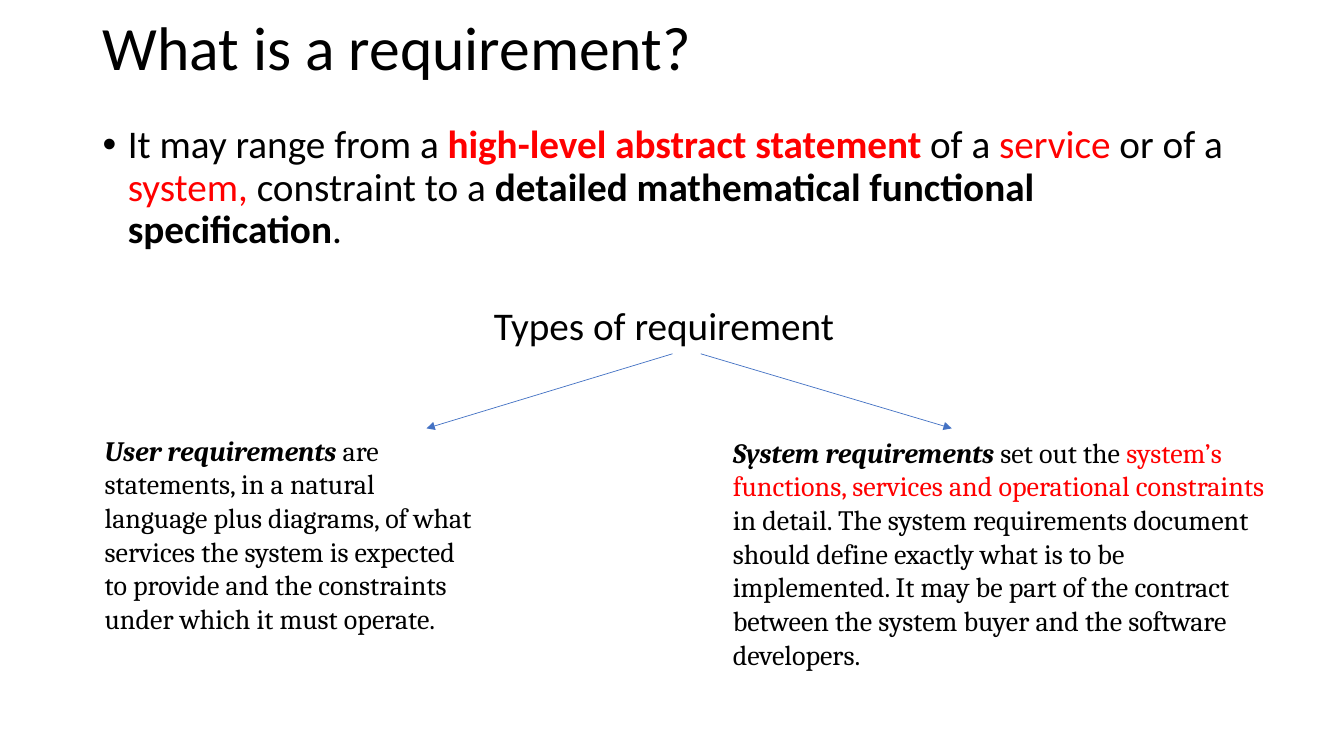
from lxml.etree import SubElement
from pptx import Presentation
from pptx.dml.color import RGBColor
from pptx.enum.shapes import MSO_CONNECTOR
from pptx.enum.text import MSO_ANCHOR
from pptx.oxml.ns import qn
from pptx.util import Inches, Pt

BLACK = RGBColor(0x00, 0x00, 0x00)
RED = RGBColor(0xFF, 0x00, 0x00)
BLUE = RGBColor(0x44, 0x72, 0xC4)

BOLD = {"bold": True}
BOLD_ITALIC = {"bold": True, "italic": True}
HIGHLIGHT = {"color": RED}


def add_text(slide, box, runs, size, font="Calibri", anchor=MSO_ANCHOR.TOP,
             line_spacing=None, bullet=False):
    """Place one paragraph of (text, format) runs in a box and return its shape."""
    holder = slide.shapes.add_textbox(*map(Inches, box))
    frame = holder.text_frame
    frame.word_wrap = True
    frame.vertical_anchor = anchor
    paragraph = frame.paragraphs[0]
    if bullet:
        properties = paragraph._p.get_or_add_pPr()
        properties.set("marL", str(Inches(0.25)))
        properties.set("indent", str(Inches(-0.25)))
        SubElement(properties, qn("a:buFont")).set("typeface", "Arial")
        SubElement(properties, qn("a:buChar")).set("char", "•")
    if line_spacing:
        paragraph.line_spacing = line_spacing
    for words, style in runs:
        run = paragraph.add_run()
        run.text = words
        run.font.name = font
        run.font.size = Pt(size)
        run.font.bold = style.get("bold", False)
        run.font.italic = style.get("italic", False)
        run.font.color.rgb = style.get("color", BLACK)
    return holder


def add_arrow(slide, start, end):
    """Draw a thin blue arrow between two points and return it."""
    arrow = slide.shapes.add_connector(
        MSO_CONNECTOR.STRAIGHT, *map(Inches, (*start, *end)))
    arrow.line.color.rgb = BLUE
    arrow.line.width = Pt(0.5)
    SubElement(arrow.line._get_or_add_ln(), qn("a:tailEnd")).set("type", "triangle")
    SubElement(arrow._element.spPr, qn("a:effectLst"))
    return arrow


def add_definition(slide, left, top, width):
    """Place the title and the bulleted definition in a column."""
    add_text(slide, (left, top, width, 0.79), [("What is a requirement?", {})],
             size=44, anchor=MSO_ANCHOR.MIDDLE, line_spacing=0.9)
    add_text(slide, (left, top + 1.08, width, 1.5), [
        ("It may range from a ", {}),
        ("high-level abstract statement ", {**BOLD, **HIGHLIGHT}),
        ("of a ", {}),
        ("service", HIGHLIGHT),
        (" or of a ", {}),
        ("system, ", HIGHLIGHT),
        ("constraint to a ", {}),
        ("detailed mathematical functional specification", BOLD),
        (".", {}),
    ], size=28, line_spacing=0.9, bullet=True)


def add_types(slide, left, top, width):
    """Place the heading of the types, its two arrows and both descriptions."""
    heading_width, heading_height = 3.74, 0.57
    heading_left = left + 3.86
    heading = add_text(slide, (heading_left, top, heading_width, heading_height),
                       [("Types of requirement", {})], size=28)
    middle = heading_left + heading_width / 2
    arrow_top = top + heading_height
    arrow_end = arrow_top + 0.74
    to_user = add_arrow(slide, (middle, arrow_top), (left + 3.29, arrow_end))
    to_user.begin_connect(heading, 2)
    add_arrow(slide, (middle + 0.28, arrow_top), (left + 8.5, arrow_end))

    add_text(slide, (left, arrow_end, 3.86, 2.12), [
        ("User requirements ", BOLD_ITALIC),
        ("are statements, in a natural language plus diagrams, of what services "
         "the system is expected to provide and the constraints under which it "
         "must operate.", {}),
    ], size=20, font="Cambria")
    system_width = 5.63
    add_text(slide, (left + width - system_width, arrow_end + 0.02, system_width, 2.46), [
        ("System requirements ", BOLD_ITALIC),
        ("set out the ", {}),
        ("system’s functions, services and operational constraints ", HIGHLIGHT),
        ("in detail. The system requirements document should define exactly what "
         "is to be implemented. It may be part of the contract between the system "
         "buyer and the software developers.", {}),
    ], size=20, font="Cambria")


def main():
    """Build the slide and save it."""
    deck = Presentation()
    deck.slide_width = Inches(13.33)
    deck.slide_height = Inches(7.5)
    slide = deck.slides.add_slide(deck.slide_layouts[6])
    add_definition(slide, left=0.92, top=0.11, width=11.5)
    add_types(slide, left=0.94, top=2.94, width=11.86)
    deck.save("out.pptx")


if __name__ == "__main__":
    main()
